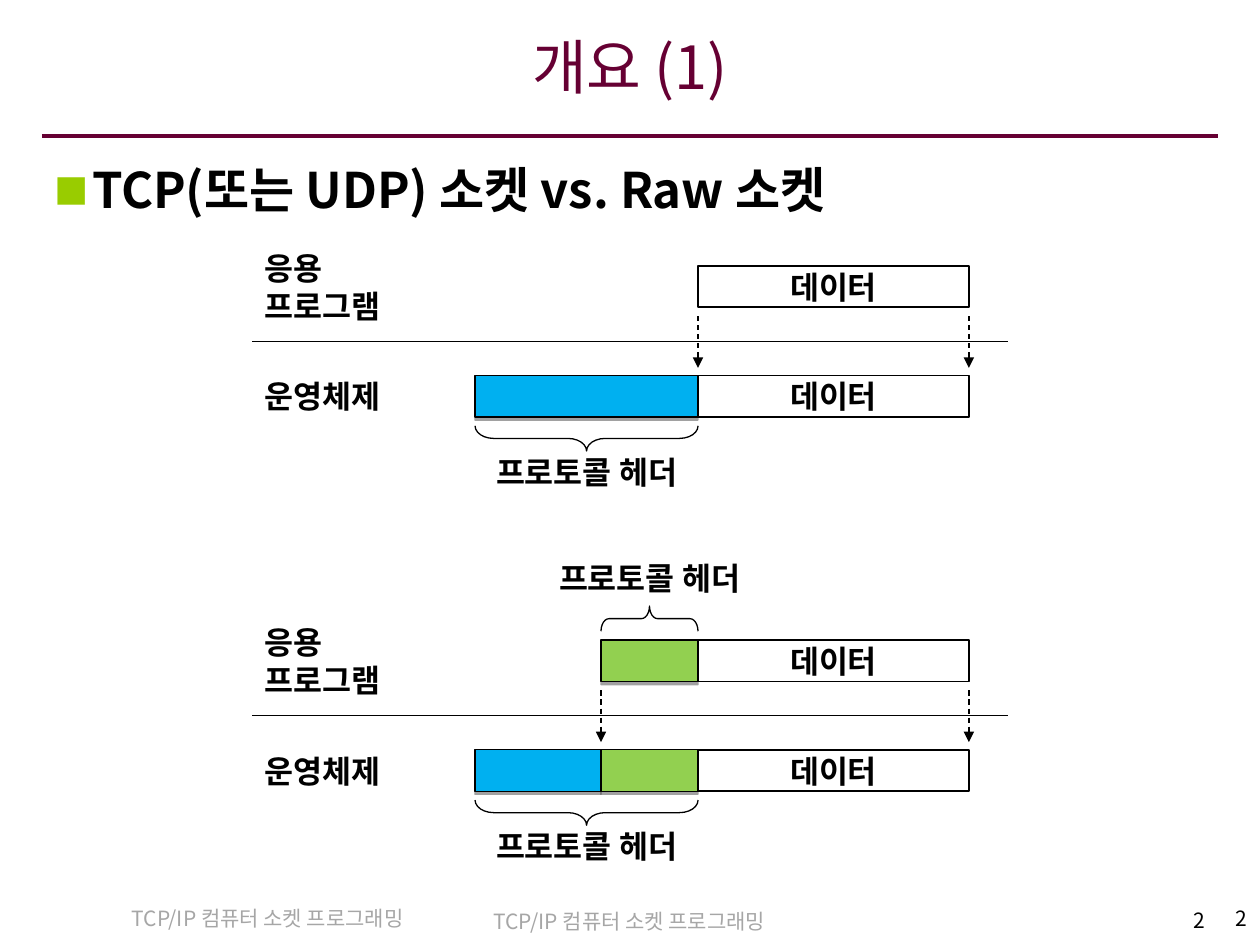
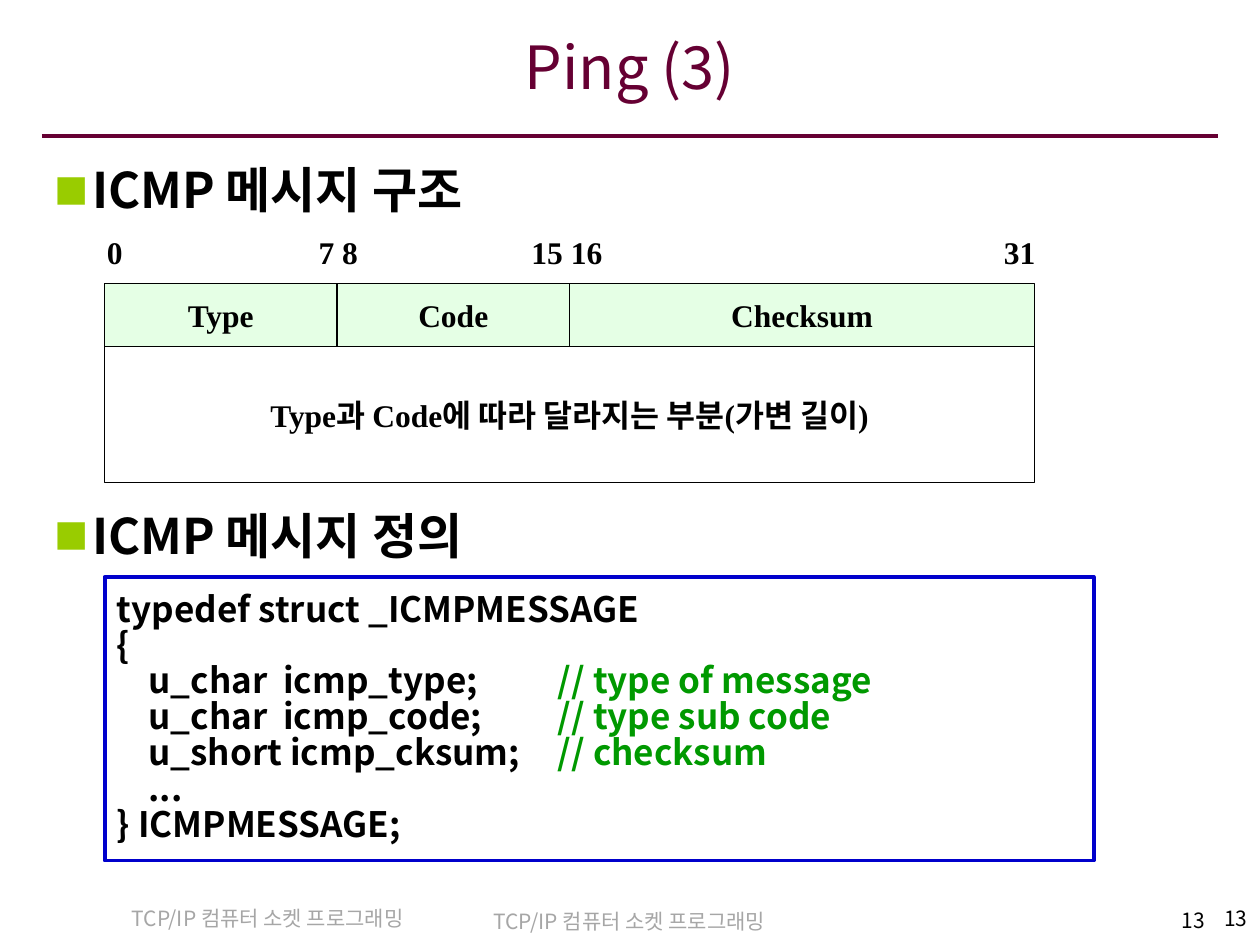
import pptx
import pptx.dml.color
import pptx.enum.dml
import pptx.enum.shapes
import pptx.enum.text
import pptx.oxml
import pptx.oxml.ns
import pptx.util

RGB = pptx.dml.color.RGBColor
SHAPE = pptx.enum.shapes.MSO_SHAPE
ALIGN = pptx.enum.text.PP_ALIGN
ANCHOR = pptx.enum.text.MSO_ANCHOR
Pt = pptx.util.Pt
Inches = pptx.util.Inches

BLACK = RGB(0x00, 0x00, 0x00)
WINE = RGB(0x66, 0x00, 0x33)
GRAY = RGB(0xA6, 0xA6, 0xA6)
SKY = RGB(0x00, 0xB0, 0xF0)
LEAF = RGB(0x92, 0xD0, 0x50)
MINT = RGB(0xCC, 0xFF, 0xCC)
BLUE = RGB(0x00, 0x00, 0xCC)
GREEN = RGB(0x00, 0x99, 0x00)

SANS = "Noto Sans CJK KR"
SERIF = "Times New Roman"
WIDTH, HEIGHT = 10, 7.5

FOOTER = "TCP/IP 컴퓨터 소켓 프로그래밍"
FOOTER_BOXES = [(2.87, 7.16, 4.25, 0.3), (0, 7.14, 4.25, 0.28)]
NUMBER_BOXES = [(7.54, 7.15, 2.12, 0.33), (7.92, 7.14, 2.08, 0.27)]

OVERVIEW = {"title": "개요 (1)", "number": 2,
            "bullets": [("TCP(또는 UDP) 소켓 vs. Raw 소켓", 0)]}
PING = {"title": "Ping (3)", "number": 13,
        "bullets": [("ICMP 메시지 구조", 0), ("ICMP 메시지 정의", 164)]}

APP, SYSTEM, DATA, HEADER = "응용 프로그램", "운영체제", "데이터", "프로토콜 헤더"
HEAD_LEFT, RAW_LEFT, DATA_LEFT, DATA_RIGHT = 3.77, 4.77, 5.54, 7.69
BAR, ROW_STEP = 0.33, 0.87
STACKS = [
    {"top": 2.11, "start": DATA_LEFT, "app": [],
     "system": [(HEAD_LEFT, DATA_LEFT, SKY)]},
    {"top": 5.08, "start": RAW_LEFT, "app": [(RAW_LEFT, DATA_LEFT, LEAF)],
     "system": [(HEAD_LEFT, RAW_LEFT, SKY), (RAW_LEFT, DATA_LEFT, LEAF)]},
]

FIELDS = [("Type", 8), ("Code", 8), ("Checksum", 16)]
REST = "Type과 Code에 따라 달라지는 부분(가변 길이)"
BITS = "0\t7 8\t15 16\t31"
BIT_STOPS = [1.68, 3.37, 7.12]
TABLE_LEFT, TABLE_TOP, TABLE_WIDTH = 0.83, 2.25, 7.38
FIELD_HEIGHT, REST_HEIGHT = 0.5, 1.08

CODE_STOPS = [0.25, 1.32, 3.5]
CODE = [
    ("typedef struct _ICMPMESSAGE", ""),
    ("{", ""),
    ("\tu_char\ticmp_type;\t", "// type of message"),
    ("\tu_char\ticmp_code;\t", "// type sub code"),
    ("\tu_short icmp_cksum;\t", "// checksum"),
    ("\t...", ""),
    ("} ICMPMESSAGE;", ""),
]


def set_all(target, values):
    for name, value in values.items():
        setattr(target, name, value)


def add_xml(parent, tag, body="", **attributes):
    pairs = " ".join(f'{key}="{value}"' for key, value in attributes.items())
    names = pptx.oxml.ns.nsdecls("a")
    node = pptx.oxml.parse_xml(f"<a:{tag} {names} {pairs}>{body}</a:{tag}>")
    parent.append(node)
    return node


def add_span(para, text, size, color=BLACK, font=SANS, bold=False):
    span = para.add_run()
    span.text = text
    set_all(span.font, {"size": Pt(size), "bold": bold, "name": font})
    span.font.color.rgb = color
    add_xml(span.font._element, "ea", typeface=SANS)


def add_stops(para, stops):
    tabs = "".join(f'<a:tab pos="{Inches(stop)}" algn="l"/>' for stop in stops)
    add_xml(para._p.get_or_add_pPr(), "tabLst", tabs)


def set_frame(box, anchor=ANCHOR.MIDDLE, wrap=False,
              margins=(0.1, 0.05, 0.1, 0.05)):
    left, top, right, bottom = map(Inches, margins)
    set_all(box.text_frame, {
        "word_wrap": wrap, "vertical_anchor": anchor, "margin_left": left,
        "margin_top": top, "margin_right": right, "margin_bottom": bottom})
    return box.text_frame


def add_text(page, place, text, size, align=ALIGN.LEFT, frame=None, line=None,
             **style):
    box = page.shapes.add_textbox(*map(Inches, place))
    para = set_frame(box, **(frame or {"wrap": True})).paragraphs[0]
    set_all(para, {"alignment": align, "line_spacing": line})
    add_span(para, text, size, **style)
    return para


def add_block(page, place, kind=SHAPE.RECTANGLE, fill=None, line=BLACK,
              weight=0.75, text="", font=SANS):
    block = page.shapes.add_shape(kind, *map(Inches, place))
    block.shadow.inherit = False
    if fill is None:
        block.fill.background()
    else:
        block.fill.solid()
        block.fill.fore_color.rgb = fill
    block.line.color.rgb = line
    block.line.width = Pt(weight)
    if text:
        para = set_frame(block).paragraphs[0]
        para.alignment = ALIGN.CENTER
        add_span(para, text, 18, font=font, bold=True)
    return block


def add_line(page, start, end, color=BLACK, weight=0.75, arrow=False):
    line = page.shapes.add_connector(
        pptx.enum.shapes.MSO_CONNECTOR.STRAIGHT, *map(Inches, start + end))
    line.line.color.rgb = color
    line.line.width = Pt(weight)
    if arrow:
        line.line.dash_style = pptx.enum.dml.MSO_LINE.DASH
        add_xml(line.line._get_or_add_ln(), "tailEnd", type="triangle")
    add_xml(line._element.spPr, "effectLst")


def add_page(deck, content):
    page = deck.slides.add_slide(deck.slide_layouts[6])
    edge = WIDTH / 30
    add_line(page, (edge, 1.08), (WIDTH - edge, 1.08), WINE, 2.25)
    top = {"anchor": ANCHOR.TOP, "wrap": True}
    for place in FOOTER_BOXES:
        add_text(page, place, FOOTER, 12, ALIGN.CENTER, top, Pt(14.4), color=GRAY)
    for place in NUMBER_BOXES:
        add_text(page, place, str(content["number"]), 12, ALIGN.RIGHT, top, Pt(14.4))
    add_text(page, (edge, 0.15, WIDTH - 2 * edge, 0.85), content["title"], 34,
             ALIGN.CENTER, {"wrap": True, "margins": (0.08, 0.05, 0.08, 0.16)},
             color=WINE)
    box = page.shapes.add_textbox(*map(Inches, (edge, 1.22, WIDTH - 2 * edge, 5.86)))
    frame = set_frame(box, **top)
    for index, (text, gap) in enumerate(content["bullets"]):
        para = frame.add_paragraph() if index else frame.paragraphs[0]
        set_all(para, {"space_before": Pt(gap), "line_spacing": Pt(33.6)})
        props = para._p.get_or_add_pPr()
        props.set("marL", str(Inches(0.3)))
        props.set("indent", str(-Inches(0.3)))
        add_xml(props, "buClr", '<a:srgbClr val="99CC00"/>')
        add_xml(props, "buSzPct", val=70000)
        add_xml(props, "buFont", typeface=SANS)
        add_xml(props, "buChar", char="■")
        add_span(para, text, 28, bold=True)
    return page


def add_header_bar(page, left, right, top, color):
    bar = add_block(page, (left, top, right - left, BAR), fill=color)
    effects = bar._element.spPr.find(pptx.oxml.ns.qn("a:effectLst"))
    add_xml(effects, "outerShdw",
            '<a:srgbClr val="000000"><a:alpha val="36000"/></a:srgbClr>',
            blurRad=0, dist=Pt(1.8), dir=5400000, rotWithShape=0)


def add_brace(page, left, right, top, rotation):
    length, depth = right - left, 0.2
    place = ((left + right - depth) / 2, top + (depth - length) / 2, depth, length)
    brace = add_block(page, place, SHAPE.RIGHT_BRACE)
    brace.rotation = rotation
    brace.adjustments[0] = length / 12 / depth


def add_stack(page, stack):
    top, start = stack["top"], stack["start"]
    below = top + ROW_STEP
    for row, label, bars in ((top, APP, stack["app"]), (below, SYSTEM, stack["system"])):
        add_text(page, (2, row, 1.62, BAR), label, 18, bold=True)
        add_block(page, (DATA_LEFT, row, DATA_RIGHT - DATA_LEFT, BAR),
                  weight=1, text=DATA)
        for left, right, color in bars:
            add_header_bar(page, left, right, row, color)
    add_line(page, (2, top + 0.6), (8, top + 0.6))
    for x in (start, DATA_RIGHT):
        add_line(page, (x, top + 0.4), (x, top + 0.81), arrow=True)
    braces = [(HEAD_LEFT, below + 0.4, 90, below + 0.6)]
    if stack["app"]:
        braces.append((start, top - 0.27, 270, top - 0.66))
    for left, brace_top, rotation, label_top in braces:
        add_brace(page, left, DATA_LEFT, brace_top, rotation)
        middle = (left + DATA_LEFT) / 2
        add_text(page, (middle - 0.89, label_top, 1.78, BAR), HEADER, 18,
                 ALIGN.CENTER, bold=True)


def add_message_layout(page):
    left = TABLE_LEFT
    for name, bits in FIELDS:
        width = TABLE_WIDTH * bits / 32
        field = add_block(page, (left, TABLE_TOP, width, FIELD_HEIGHT),
                          fill=MINT, text=name, font=SERIF)
        color = field._element.spPr.find(".//" + pptx.oxml.ns.qn("a:srgbClr"))
        add_xml(color, "alpha", val=50000)
        left += width
    add_block(page, (TABLE_LEFT, TABLE_TOP + FIELD_HEIGHT, TABLE_WIDTH, REST_HEIGHT),
              text=REST, font=SERIF)
    para = add_text(page, (0.75, TABLE_TOP - 0.5, 7.8, 0.5), BITS, 18,
                    font=SERIF, bold=True)
    add_stops(para, BIT_STOPS)


def add_code(page):
    block = add_block(page, (0.83, 4.58, 7.85, 2.25), line=BLUE, weight=2.25)
    frame = set_frame(block, wrap=True)
    for index, (code, remark) in enumerate(CODE):
        para = frame.add_paragraph() if index else frame.paragraphs[0]
        set_all(para, {"alignment": ALIGN.LEFT, "line_spacing": Pt(20.5)})
        add_stops(para, CODE_STOPS)
        add_span(para, code, 20, bold=True)
        if remark:
            add_span(para, remark, 20, GREEN, bold=True)


def main():
    deck = pptx.Presentation()
    set_all(deck, {"slide_width": Inches(WIDTH), "slide_height": Inches(HEIGHT)})
    page = add_page(deck, OVERVIEW)
    for stack in STACKS:
        add_stack(page, stack)
    page = add_page(deck, PING)
    add_message_layout(page)
    add_code(page)
    deck.save("out.pptx")


if __name__ == "__main__":
    main()
